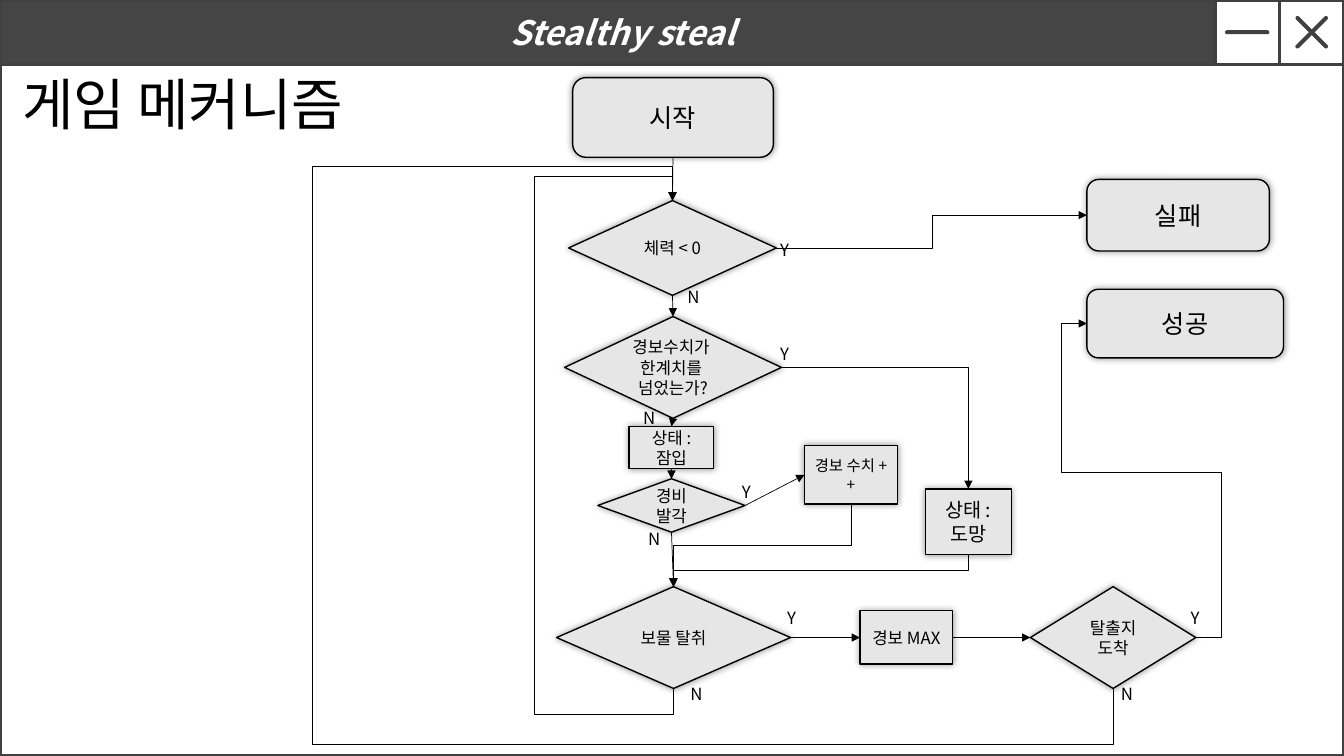
"""Build the game mechanism flowchart slide."""
from lxml import etree
from pptx import Presentation
from pptx.dml.color import RGBColor
from pptx.enum.shapes import MSO_CONNECTOR, MSO_SHAPE
from pptx.enum.text import MSO_ANCHOR, PP_ALIGN
from pptx.oxml.ns import qn
from pptx.util import Inches, Pt

RECTANGLE = MSO_SHAPE.RECTANGLE
ROUNDED = MSO_SHAPE.ROUNDED_RECTANGLE
DECISION = MSO_SHAPE.FLOWCHART_DECISION
STRAIGHT, ELBOW = MSO_CONNECTOR.STRAIGHT, MSO_CONNECTOR.ELBOW
CENTER, LEFT, MIDDLE = PP_ALIGN.CENTER, PP_ALIGN.LEFT, MSO_ANCHOR.MIDDLE
TOP_SITE, LEFT_SITE, BOTTOM_SITE, RIGHT_SITE = range(4)

FONT = "Noto Sans CJK KR"
COLORS = {"black": "000000", "white": "FFFFFF", "frame": "404040", "node": "E7E6E6"}

NODES = {
    "start": (ROUNDED, 5.68, 0.77, 1.99, 0.79, 18, ["시작"]),
    "health": (DECISION, 5.64, 1.99, 2.06, 0.94, 12, ["체력 < 0"]),
    "limit": (DECISION, 5.6, 3.14, 2.15, 1.01, 12, ["경보수치가 ", "한계치를 ", "넘었는가?"]),
    "sneak": (RECTANGLE, 6.24, 4.23, 0.84, 0.42, 12, ["상태 : 잠입"]),
    "guard": (DECISION, 5.93, 4.75, 1.46, 0.53, 12, ["경비 발각"]),
    "alarm": (RECTANGLE, 7.98, 4.42, 0.92, 0.58, 11, ["경보 수치 ++"]),
    "escape": (RECTANGLE, 9.18, 4.85, 0.85, 0.65, 14, ["상태 :", "도망"]),
    "treasure": (DECISION, 5.52, 5.82, 2.32, 1.01, 12, ["보물 탈취"]),
    "maximum": (RECTANGLE, 8.53, 6.06, 0.92, 0.53, 12, ["경보 MAX"]),
    "exit": (DECISION, 10.22, 5.82, 1.64, 1.01, 12, ["탈출지 도착"]),
    "failure": (ROUNDED, 10.78, 1.78, 1.81, 0.71, 18, ["실패"]),
    "success": (ROUNDED, 10.78, 2.87, 1.95, 0.68, 18, ["성공"]),
}

STRAIGHT_ROUTES = [
    ("start", BOTTOM_SITE, "health", TOP_SITE),
    ("health", BOTTOM_SITE, "limit", TOP_SITE),
    ("limit", BOTTOM_SITE, "sneak", TOP_SITE),
    ("sneak", BOTTOM_SITE, "guard", TOP_SITE),
    ("guard", BOTTOM_SITE, "treasure", TOP_SITE),
    ("guard", RIGHT_SITE, "alarm", LEFT_SITE),
    ("treasure", RIGHT_SITE, "maximum", LEFT_SITE),
    ("maximum", RIGHT_SITE, "exit", LEFT_SITE),
]

ELBOW_ROUTES = [
    ("limit", RIGHT_SITE, "escape", TOP_SITE, []),
    ("health", RIGHT_SITE, "failure", LEFT_SITE, [9.25]),
    ("escape", BOTTOM_SITE, "treasure", TOP_SITE, [5.66]),
    ("alarm", BOTTOM_SITE, "treasure", TOP_SITE, [5.41]),
    ("treasure", BOTTOM_SITE, "health", TOP_SITE, [7.09, 5.28, 1.75]),
    ("exit", RIGHT_SITE, "success", LEFT_SITE, [12.11, 4.69, 10.53]),
    ("exit", BOTTOM_SITE, "health", TOP_SITE, [7.38, 3.1, 1.65]),
]

BRANCH_LABELS = [
    ("N", 6.72, 2.8), ("N", 6.28, 4), ("N", 6.33, 5.2), ("N", 6.75, 6.73), ("N", 11.02, 6.73),
    ("Y", 7.64, 2.33), ("Y", 7.64, 3.36), ("Y", 7.26, 4.73), ("Y", 7.71, 5.98), ("Y", 11.71, 5.98),
]


def color(name):
    """Return a named colour."""
    return RGBColor.from_string(COLORS[name])


def write(shape, lines, size, color_name="black", align=LEFT, strong=False):
    """Write one paragraph per line."""
    frame = shape.text_frame
    frame.word_wrap = True
    for index, line in enumerate(lines):
        paragraph = frame.paragraphs[0] if index == 0 else frame.add_paragraph()
        paragraph.alignment = align
        run = paragraph.add_run()
        run.text = line
        run.font.name = FONT
        run.font.size = Pt(size)
        run.font.bold = run.font.italic = strong
        run.font.color.rgb = color(color_name)
        etree.SubElement(run.font._element, qn("a:ea")).set("typeface", FONT)


def add_box(shapes, kind, left, top, width, height, fill=None, line=None, weight=2.5):
    """Add a preset shape with an optional fill and line."""
    shape = shapes.add_shape(kind, Inches(left), Inches(top), Inches(width), Inches(height))
    shape.shadow.inherit = False
    if fill:
        shape.fill.solid()
        shape.fill.fore_color.rgb = color(fill)
    else:
        shape.fill.background()
    if line:
        shape.line.color.rgb = color(line)
        shape.line.width = Pt(weight)
    else:
        shape.line.fill.background()
    return shape


def add_text(slide, text, left, top, width, height, size):
    """Add a text box."""
    box = slide.shapes.add_textbox(Inches(left), Inches(top), Inches(width), Inches(height))
    write(box, [text], size)


def add_node(slide, kind, left, top, width, height, size, lines):
    """Add a flowchart node with a soft glow-like shadow."""
    node = add_box(slide.shapes, kind, left, top, width, height, "node", "black", 1)
    effects = node._element.spPr.find(qn("a:effectLst"))
    shadow = etree.SubElement(effects, qn("a:outerShdw"), blurRad=str(Pt(5)), dist="0", dir="0")
    shade = etree.SubElement(shadow, qn("a:srgbClr"), val=COLORS["black"])
    etree.SubElement(shade, qn("a:alpha"), val="40000")
    node.text_frame.vertical_anchor = MIDDLE
    write(node, lines, size, align=CENTER)
    return node


def add_arrow(slide, kind, source, source_site, target, target_site):
    """Join two nodes with an arrow."""
    arrow = slide.shapes.add_connector(kind, 0, 0, 0, 0)
    arrow.begin_connect(source, source_site)
    arrow.end_connect(target, target_site)
    arrow.line.color.rgb = color("black")
    arrow.line.width = Pt(0.5)
    etree.SubElement(arrow.line._get_or_add_ln(), qn("a:tailEnd"), type="triangle")
    etree.SubElement(arrow._element.spPr, qn("a:effectLst"))
    return arrow


def bend_arrow(arrow, vertical, bends):
    """Route an elbow arrow through bends that alternate between the two axes."""
    start, end = (arrow.begin_x, arrow.begin_y), (arrow.end_x, arrow.end_y)
    across, down = end[0] - start[0], end[1] - start[1]
    width, height = (abs(down), abs(across)) if vertical else (abs(across), abs(down))
    arrow.left, arrow.top = (start[0] + end[0] - width) // 2, (start[1] + end[1] - height) // 2
    arrow.width, arrow.height = width, height
    flips = (down < 0, across > 0) if vertical else (across < 0, down < 0)
    frame = arrow._element.spPr.find(qn("a:xfrm"))
    frame.set("rot", "5400000" if vertical else "0")
    frame.set("flipH", str(int(flips[0])))
    frame.set("flipV", str(int(flips[1])))

    geometry = arrow._element.spPr.find(qn("a:prstGeom"))
    geometry.set("prst", f"bentConnector{len(bends) + 2}")
    guides = geometry.find(qn("a:avLst"))
    for index, bend in enumerate(bends):
        axis = (index + vertical) % 2
        share = (Inches(bend) - start[axis]) / (end[axis] - start[axis])
        etree.SubElement(guides, qn("a:gd"), name=f"adj{index + 1}", fmla=f"val {round(share * 100000)}")


def add_window_button(slide, left, angles):
    """Add a window button with one bar per angle."""
    group = slide.shapes.add_group_shape()
    add_box(group.shapes, RECTANGLE, left, 0, 0.64, 0.64, "white", "frame")
    for angle in angles:
        bar = add_box(group.shapes, ROUNDED, left + 0.1, 0.3, 0.44, 0.04, "frame")
        bar.adjustments[0] = 0.5
        bar.rotation = angle


def add_window(slide):
    """Add the window frame, title bar and buttons."""
    add_box(slide.shapes, RECTANGLE, 0, 0.64, 13.33, 6.86, line="frame")
    bar = add_box(slide.shapes, RECTANGLE, 0, 0, 12.05, 0.64, "black", "frame")
    fill = bar._element.spPr.find(qn("a:solidFill"))
    etree.SubElement(fill[0], qn("a:alpha"), val="73000")
    bar.text_frame.vertical_anchor = MIDDLE
    bar.text_frame.margin_left = Inches(0.4)
    write(bar, ["Stealthy steal"], 24, "white", CENTER, strong=True)
    add_window_button(slide, 12.05, [0])
    add_window_button(slide, 12.69, [315, 45])


def main():
    """Build and save the slide."""
    presentation = Presentation()
    presentation.slide_width, presentation.slide_height = Inches(13.33), Inches(7.5)
    slide = presentation.slides.add_slide(presentation.slide_layouts[6])
    add_window(slide)
    add_text(slide, "게임 메커니즘", 0.12, 0.64, 4.49, 0.77, 40)
    nodes = {name: add_node(slide, *details) for name, details in NODES.items()}
    for source, source_site, target, target_site in STRAIGHT_ROUTES:
        add_arrow(slide, STRAIGHT, nodes[source], source_site, nodes[target], target_site)
    for source, source_site, target, target_site, bends in ELBOW_ROUTES:
        arrow = add_arrow(slide, ELBOW, nodes[source], source_site, nodes[target], target_site)
        bend_arrow(arrow, source_site == BOTTOM_SITE, bends)
    for text, left, top in BRANCH_LABELS:
        add_text(slide, text, left, top, 0.33, 0.3, 12)
    presentation.save("out.pptx")


if __name__ == "__main__":
    main()
